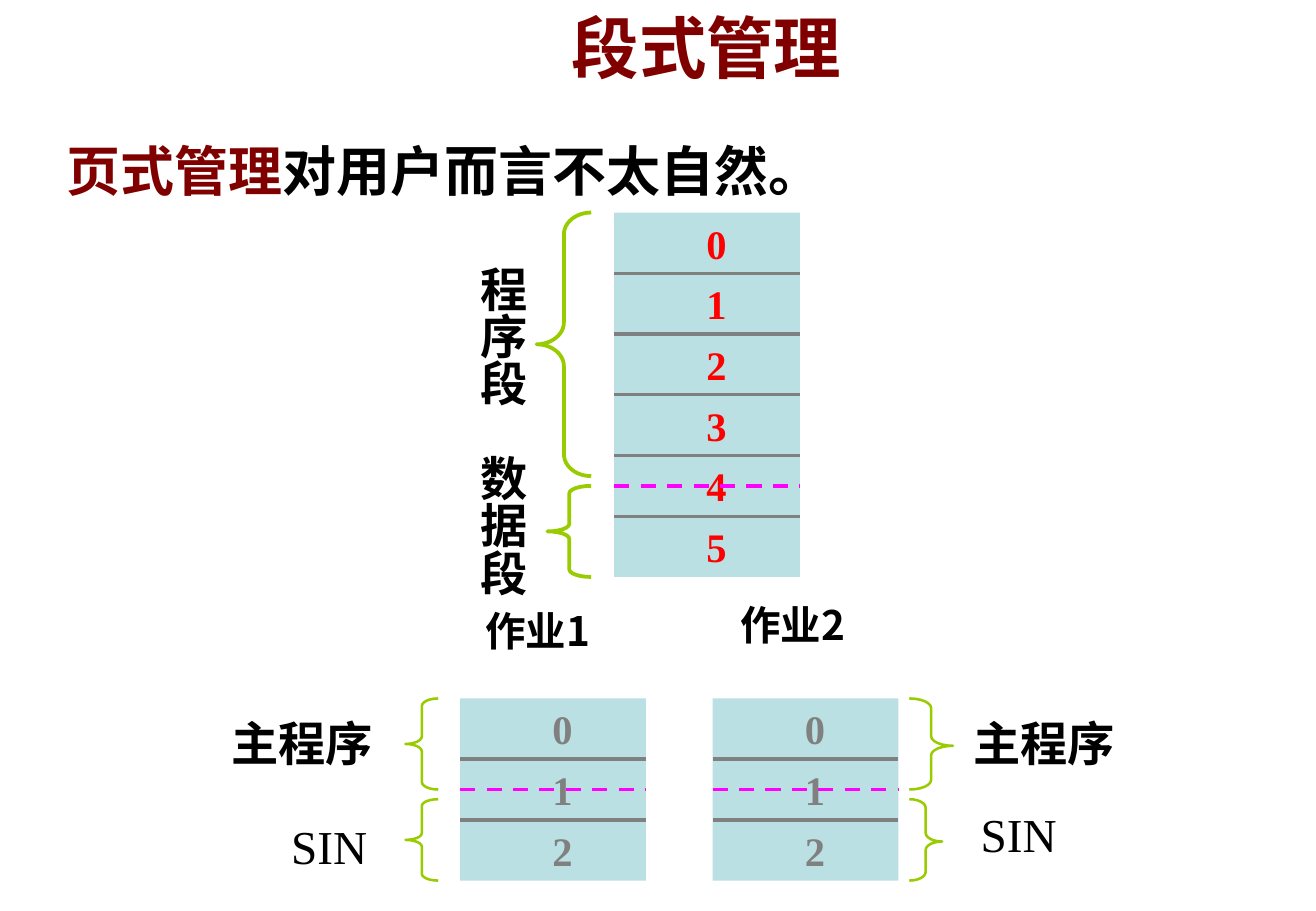
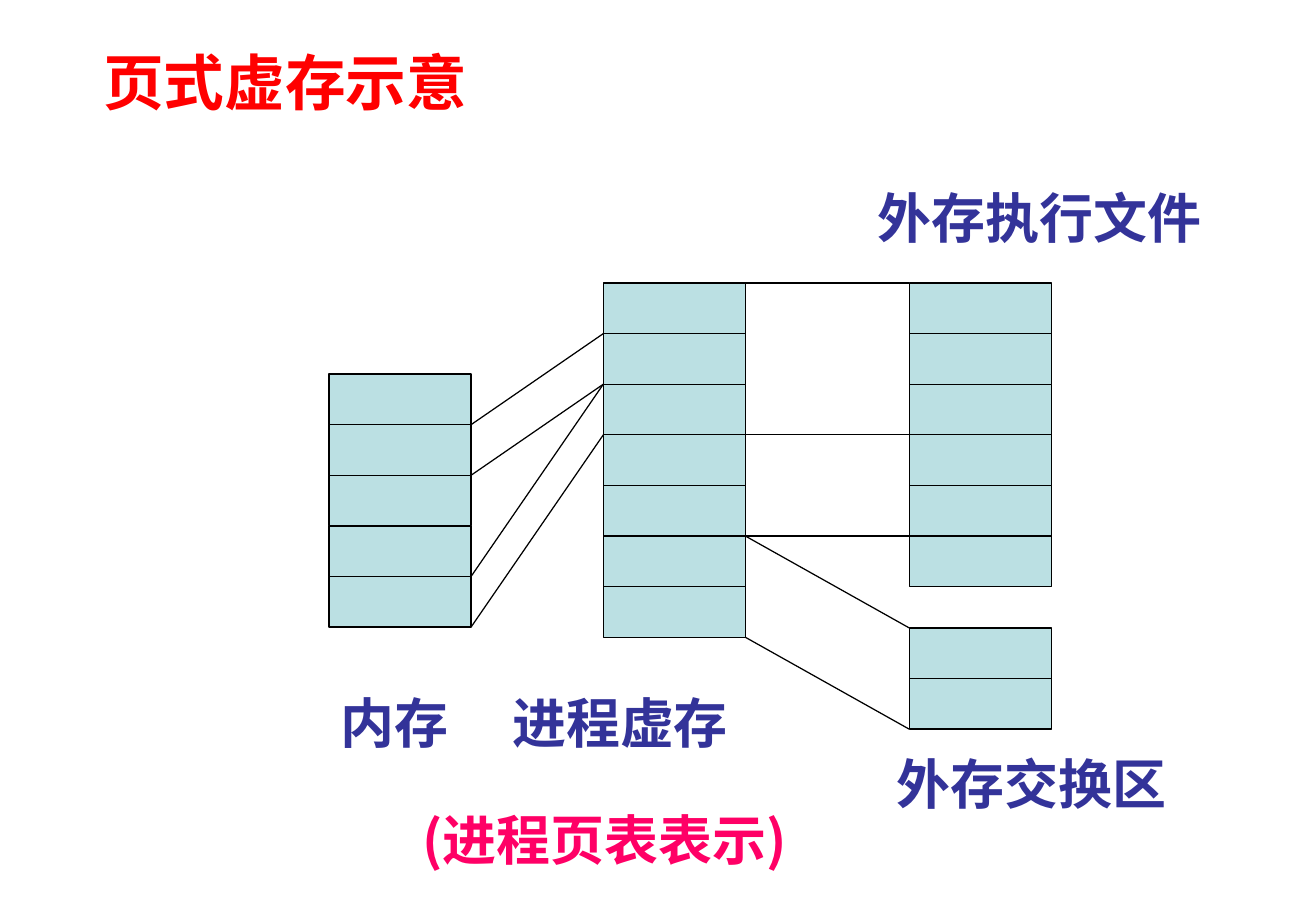
from lxml.etree import SubElement
from pptx import Presentation
from pptx.dml.color import RGBColor
from pptx.enum.dml import MSO_LINE
from pptx.enum.shapes import MSO_CONNECTOR, MSO_SHAPE
from pptx.enum.text import MSO_ANCHOR, MSO_AUTO_SIZE, PP_ALIGN
from pptx.oxml import parse_xml
from pptx.oxml.ns import nsdecls, qn
from pptx.util import Inches, Pt

SANS, SERIF = "Noto Sans CJK SC", "Times New Roman"
BLACK, RED, MAROON, NAVY, PINK = "000000", "FF0000", "800000", "333399", "FF0066"
CELL, GREY, MAGENTA, GREEN = "BBE0E3", "808080", "FF00FF", "99CC00"
SHADOW = (
    f'<a:effectLst {nsdecls("a")}><a:outerShdw dist="35921" dir="2700000" algn="ctr">'
    '<a:srgbClr val="4D4D4D"/></a:outerShdw></a:effectLst>'
)


def rgb(value):
    return RGBColor.from_string(value)


def set_text(sp, runs, size=28, color=BLACK, bold=True, font=SERIF, left=0.1,
             bottom=0.05, wrap=False, vertical=False, shadow=False):
    tf = sp.text_frame
    tf.word_wrap = wrap
    tf.auto_size = MSO_AUTO_SIZE.NONE
    tf.vertical_anchor = MSO_ANCHOR.TOP
    tf.margin_left, tf.margin_right = Inches(left), Inches(0.05)
    tf.margin_top, tf.margin_bottom = Inches(0.05), Inches(bottom)
    if vertical:
        tf._txBody.bodyPr.set("vert", "eaVert")
    p = tf.paragraphs[0]
    p.alignment = PP_ALIGN.LEFT
    if isinstance(runs, str):
        runs = [(runs, color)]
    for words, tint in runs:
        r = p.add_run()
        r.text = words
        r.font.name, r.font.size, r.font.bold = font, Pt(size), bold
        r.font.color.rgb = rgb(tint)
        rPr = r._r.get_or_add_rPr()
        SubElement(rPr, qn("a:ea")).set("typeface", SANS)
        if shadow:
            rPr.find(qn("a:solidFill")).addnext(parse_xml(SHADOW))


prs = Presentation()
prs.slide_width, prs.slide_height = Inches(10.84), Inches(7.5)

titles = [
    ("段式管理", 4.61, 0, 2.43, 0.77, dict(size=40, color=MAROON, font=SANS)),
    ("页式虚存示意", 0.75, 0.32, 3.2, 0.7, dict(size=36, color=RED)),
]
for words, x, y, w, h, fmt in titles:
    s = prs.slides.add_slide(prs.slide_layouts[5])
    sp = s.shapes.title
    sp.left, sp.top, sp.width, sp.height = Inches(x), Inches(y), Inches(w), Inches(h)
    set_text(sp, words, **fmt)
segments, paging = prs.slides

seg_w, seg_h = 1.53, 0.5
page_w, page_h = 1.17, 5 / 12
mem_x, virt_x, file_x = 2.71, 4.97, 7.49
mem_y, virt_y, swap_y = 3.08, 2.33, 5.17

seg_columns = [(5.06, 1.75, 6, RED, 4), (3.79, 5.75, 3, GREY, 6.5), (5.87, 5.75, 3, GREY, 6.5)]
lines = []
for x, y, count, color, split_y in seg_columns:
    for i in range(count):
        sp = segments.shapes.add_shape(
            MSO_SHAPE.RECTANGLE, Inches(x), Inches(y + i * seg_h), Inches(seg_w), Inches(seg_h))
        sp.shadow.inherit = False
        sp.fill.solid()
        sp.fill.fore_color.rgb = rgb(CELL)
        sp.line.fill.background()
        set_text(sp, str(i), size=24, color=color, left=0.76, bottom=0)
        if i:
            edge = y + i * seg_h
            lines.append((segments, x, edge, x + seg_w, edge, GREY, 2, None))
    lines.append((segments, x, split_y, x + seg_w, split_y, MAGENTA, 2.25, MSO_LINE.DASH))

page_columns = [(mem_x, mem_y, 5), (virt_x, virt_y, 7), (file_x, virt_y, 6), (file_x, swap_y, 2)]
for x, y, count in page_columns:
    for i in range(count):
        sp = paging.shapes.add_shape(
            MSO_SHAPE.RECTANGLE, Inches(x), Inches(y + i * page_h), Inches(page_w), Inches(page_h))
        sp.shadow.inherit = False
        sp.fill.solid()
        sp.fill.fore_color.rgb = rgb(CELL)
        sp.line.color.rgb = rgb(BLACK)
        sp.line.width = Pt(0.75)

mem_right, virt_right = mem_x + page_w, virt_x + page_w
links = [(virt_x, row, mem_right, mem_y, to) for row, to in [(1, 1), (2, 2), (2, 4), (3, 5)]]
links += [(virt_right, row, file_x, virt_y, row) for row in (0, 3, 5)]
links += [(virt_right, row, file_x, swap_y, to) for row, to in [(5, 0), (7, 2)]]
for x1, row, x2, top, to in links:
    lines.append((paging, x1, virt_y + row * page_h, x2, top + to * page_h, BLACK, 0.75, None))

for s, x1, y1, x2, y2, color, width, dash in lines:
    c = s.shapes.add_connector(
        MSO_CONNECTOR.STRAIGHT, Inches(x1), Inches(y1), Inches(x2), Inches(y2))
    c.line.color.rgb = rgb(color)
    c.line.width = Pt(width)
    if dash:
        c.line.dash_style = dash
    SubElement(c._element.spPr, qn("a:effectLst"))

left, right = (MSO_SHAPE.LEFT_BRACE, 0.083, 0.5), (MSO_SHAPE.RIGHT_BRACE, 0.105, 0.52)
braces = [
    (left, 4.42, 1.75, 0.45, 2.17, 2.25),
    (left, 4.51, 4, 0.36, 0.75, 2.25),
    (left, 3.34, 5.75, 0.27, 0.75, 1.5),
    (left, 3.34, 6.58, 0.27, 0.67, 1.5),
    (right, 7.49, 5.75, 0.36, 0.75, 1.5),
    (right, 7.49, 6.58, 0.27, 0.67, 1.5),
]
for (kind, curve, tip), x, y, w, h, width in braces:
    sp = segments.shapes.add_shape(kind, Inches(x), Inches(y), Inches(w), Inches(h))
    sp.shadow.inherit = False
    sp.fill.background()
    sp.line.color.rgb = rgb(GREEN)
    sp.line.width = Pt(width)
    sp.adjustments[0] = curve * h / w
    sp.adjustments[1] = tip

upright = dict(vertical=True, left=0.05)
job = dict(size=24, font=SANS)
area = dict(size=32, color=NAVY, font=SANS)
labels = [
    (segments, [("页式管理", MAROON), ("对用户而言不太自然。", BLACK)], 0.45, 1.08, 7.67, 0.64,
     dict(size=32, wrap=True)),
    (segments, "程序段", 3.76, 2.09, 0.66, 1.27, upright),
    (segments, "数据段", 3.76, 3.65, 0.66, 1.27, upright),
    (segments, "作业1", 3.9, 4.94, 1.14, 0.5, job),
    (segments, "作业2", 6, 4.89, 1.14, 0.5, job),
    (segments, "主程序", 1.81, 5.83, 1.36, 0.57, {}),
    (segments, "SIN", 2.3, 6.68, 0.82, 0.57, dict(bold=False)),
    (segments, "主程序", 7.92, 5.83, 1.36, 0.57, {}),
    (segments, "SIN", 7.98, 6.58, 0.82, 0.57, dict(bold=False)),
    (paging, "内存", 2.71, 5.63, 1.1, 0.64, area),
    (paging, "进程虚存", 4.12, 5.63, 2, 0.64, area),
    (paging, "外存交换区", 7.29, 6.13, 2.42, 0.64, area),
    (paging, "外存执行文件", 7.13, 1.47, 2.87, 0.64, area),
    (paging, "(进程页表表示)", 3.38, 6.59, 4.13, 0.64,
     dict(size=32, color=PINK, font=SANS, shadow=True)),
]
for s, words, x, y, w, h, fmt in labels:
    sp = s.shapes.add_textbox(Inches(x), Inches(y), Inches(w), Inches(h))
    set_text(sp, words, **fmt)

prs.save("out.pptx")
